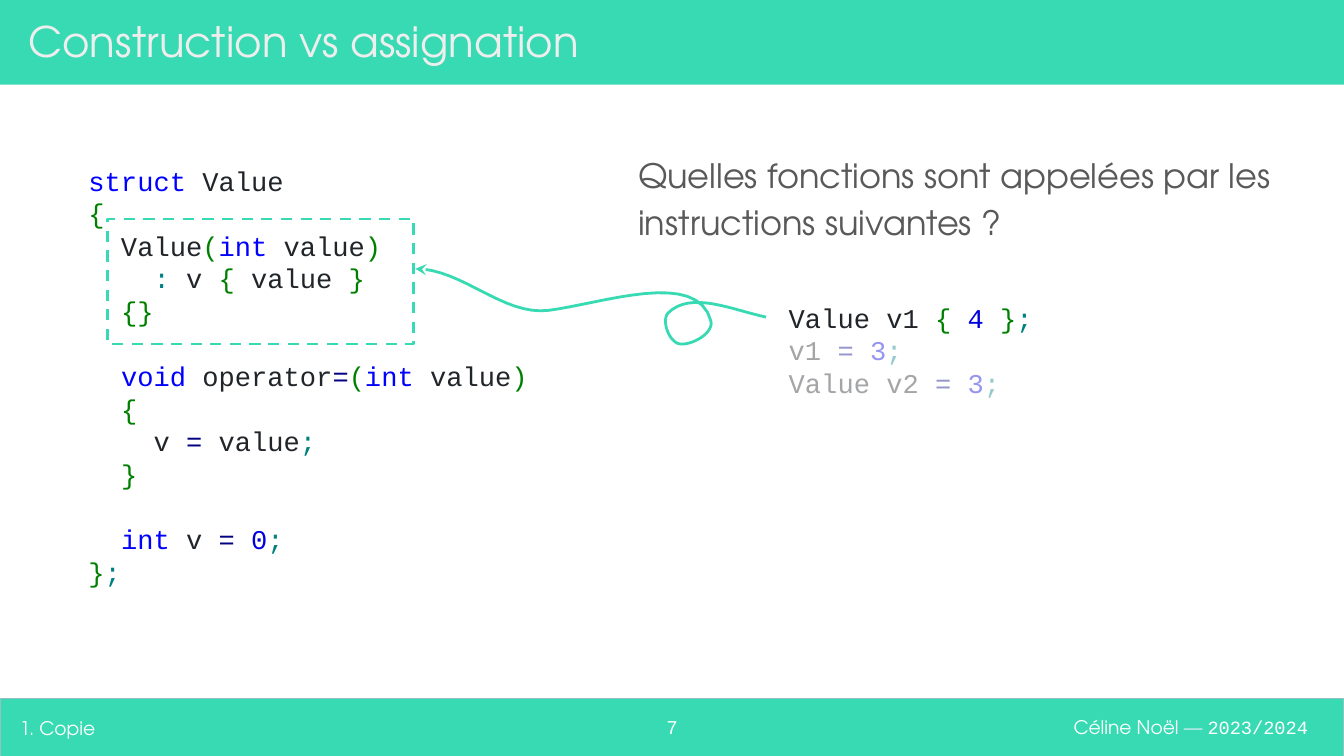
"""Build the slide comparing construction and assignment of a C++ value."""
from itertools import groupby

from lxml import etree
from pptx import Presentation
from pptx.dml.color import RGBColor
from pptx.enum.dml import MSO_LINE
from pptx.enum.shapes import MSO_SHAPE
from pptx.enum.text import MSO_ANCHOR, PP_ALIGN
from pptx.oxml.ns import qn
from pptx.util import Inches, Pt

GREEN = "38DAB3"
TITLE_FONT = "TeX Gyre Adventor"
TOKEN_COLORS = dict.fromkeys(["struct", "int", "void"], "0000FF")
TOKEN_COLORS.update(dict.fromkeys("{}()", "008000"))
TOKEN_COLORS.update(dict.fromkeys(":;", "008080"))
TOKEN_COLORS.update(dict.fromkeys("0123456789", "0000DD"))
TOKEN_COLORS["="] = "000080"

STRUCT_CODE = """struct Value
{
  Value(int value)
    : v { value }
  {}

  void operator=(int value)
  {
    v = value;
  }

  int v = 0;
};"""
CALLS_CODE = """Value v1 { 4 };
v1 = 3;
Value v2 = 3;"""


def rgb(color):
    return RGBColor.from_string(color)


def add_run(p, text, size, font, color):
    r = p.add_run()
    r.text = text
    r.font.size = Pt(size)
    r.font.name = font
    r.font.color.rgb = rgb(color)


prs = Presentation()
prs.slide_width = Inches(10)
prs.slide_height = Inches(10) * 9 // 16
s = prs.slides.add_slide(prs.slide_layouts[5])

for top, height, border in [(5.2, 0.44, "93C0C5"), (0, 0.63, None)]:
    bar = s.shapes.add_shape(MSO_SHAPE.RECTANGLE, 0, Inches(top), Inches(10), Inches(height))
    bar.shadow.inherit = False
    bar.fill.solid()
    bar.fill.fore_color.rgb = rgb(GREEN)
    if border:
        bar.line.color.rgb = rgb(border)
        bar.line.width = Pt(0.75)
    else:
        bar.line.fill.background()

title = s.shapes.title
s.shapes._spTree.append(title._element)
title.left, title.top, title.width, title.height = [Inches(v) for v in (0.11, 0.06, 9.48, 0.48)]

texts = [
    (title, PP_ALIGN.LEFT, MSO_ANCHOR.MIDDLE,
     [("Construction vs assignation", 22.5, TITLE_FONT, "EEEEEE")]),
    ((0.05, 5.2, 4.54, 0.44), PP_ALIGN.LEFT, MSO_ANCHOR.MIDDLE,
     [("1. Copie", 10, TITLE_FONT, "FFFFFF")]),
    ((4.7, 5.24, 0.6, 0.36), PP_ALIGN.CENTER, MSO_ANCHOR.TOP,
     [("7", 10, "Arial", "FFFFFF")]),
    ((7.18, 5.19, 2.65, 0.44), PP_ALIGN.RIGHT, MSO_ANCHOR.MIDDLE,
     [("Céline Noël ", 10, TITLE_FONT, "FFFFFF"),
      ("— ", 10, TITLE_FONT, "E2EEFF"),
      ("2023/2024", 10, "Courier New", "FFFFFF")]),
    ((4.65, 1.01, 5.1, 0.85), PP_ALIGN.LEFT, MSO_ANCHOR.TOP,
     [("Quelles fonctions sont appelées par les instructions suivantes ?",
       18, TITLE_FONT, "595959")]),
]
for place, align, anchor, runs in texts:
    box = place if place is title else s.shapes.add_textbox(*[Inches(v) for v in place])
    tf = box.text_frame
    tf.word_wrap = True
    tf.vertical_anchor = anchor
    tf.margin_left = tf.margin_right = tf.margin_top = tf.margin_bottom = Inches(0.1)
    p = tf.paragraphs[0]
    p.alignment = align
    for run in runs:
        add_run(p, *run)
p.line_spacing = 1.15

for place, code in [((0.56, 1.12, 3.52, 3.38), STRUCT_CODE), ((5.77, 2.14, 2.12, 0.93), CALLS_CODE)]:
    tf = s.shapes.add_textbox(*[Inches(v) for v in place]).text_frame
    tf.word_wrap = True
    tf.margin_left = tf.margin_right = tf.margin_top = tf.margin_bottom = Inches(0.1)
    p, gap = tf.paragraphs[0], 0
    for number, line in enumerate(code.split("\n")):
        if not line:
            gap = 17.45
            continue
        if number:
            p = tf.add_paragraph()
        p.line_spacing = Pt(17.45)
        p.space_before = Pt(gap)
        gap = 0
        for _, chars in groupby(line, lambda c: c.isalnum() or TOKEN_COLORS.get(c)):
            token = "".join(chars)
            color = TOKEN_COLORS.get(token, TOKEN_COLORS.get(token[0], "212529"))
            add_run(p, token, 14.5, "Courier New", color)

start = (5.7, 2.36)
curves = [
    ((5.46, 2.31), (5.14, 2.16), (4.97, 2.33)),
    ((4.92, 2.39), (4.98, 2.55), (5.06, 2.56)),
    ((5.15, 2.57), (5.31, 2.48), (5.29, 2.39)),
    ((5.19, 2), (4.48, 2.26), (4.08, 2.31)),
    ((3.74, 2.35), (3.44, 2), (3.09, 2)),
]
steps = 16
points = [[Inches(v) for v in start]]
pen = start
for c1, c2, end in curves:
    for t in [i / steps for i in range(1, steps + 1)]:
        weights = ((1 - t) ** 3, 3 * t * (1 - t) ** 2, 3 * t ** 2 * (1 - t), t ** 3)
        points.append([Inches(sum(w * q[axis] for w, q in zip(weights, (pen, c1, c2, end))))
                       for axis in (0, 1)])
    pen = end
builder = s.shapes.build_freeform(*points[0])
builder.add_line_segments(points[1:], close=False)
arrow = builder.convert_to_shape()
arrow.shadow.inherit = False
arrow.fill.background()
arrow.line.color.rgb = rgb(GREEN)
arrow.line.width = Pt(1.5)
etree.SubElement(arrow.line._get_or_add_ln(), qn("a:tailEnd"), type="stealth")

frame = s.shapes.add_shape(MSO_SHAPE.RECTANGLE, Inches(0.8), Inches(1.63), Inches(2.28), Inches(0.93))
frame.shadow.inherit = False
frame.fill.background()
frame.line.color.rgb = rgb(GREEN)
frame.line.width = Pt(1.5)
frame.line.dash_style = MSO_LINE.DASH

veil = s.shapes.add_shape(MSO_SHAPE.RECTANGLE, Inches(5.77), Inches(2.53), Inches(2.62), Inches(0.57))
veil.shadow.inherit = False
veil.fill.solid()
veil.fill.fore_color.rgb = rgb("FFFFFF")
veil.line.fill.background()
etree.SubElement(veil._element.spPr.find(".//" + qn("a:srgbClr")), qn("a:alpha"), val="59000")

prs.save("out.pptx")
